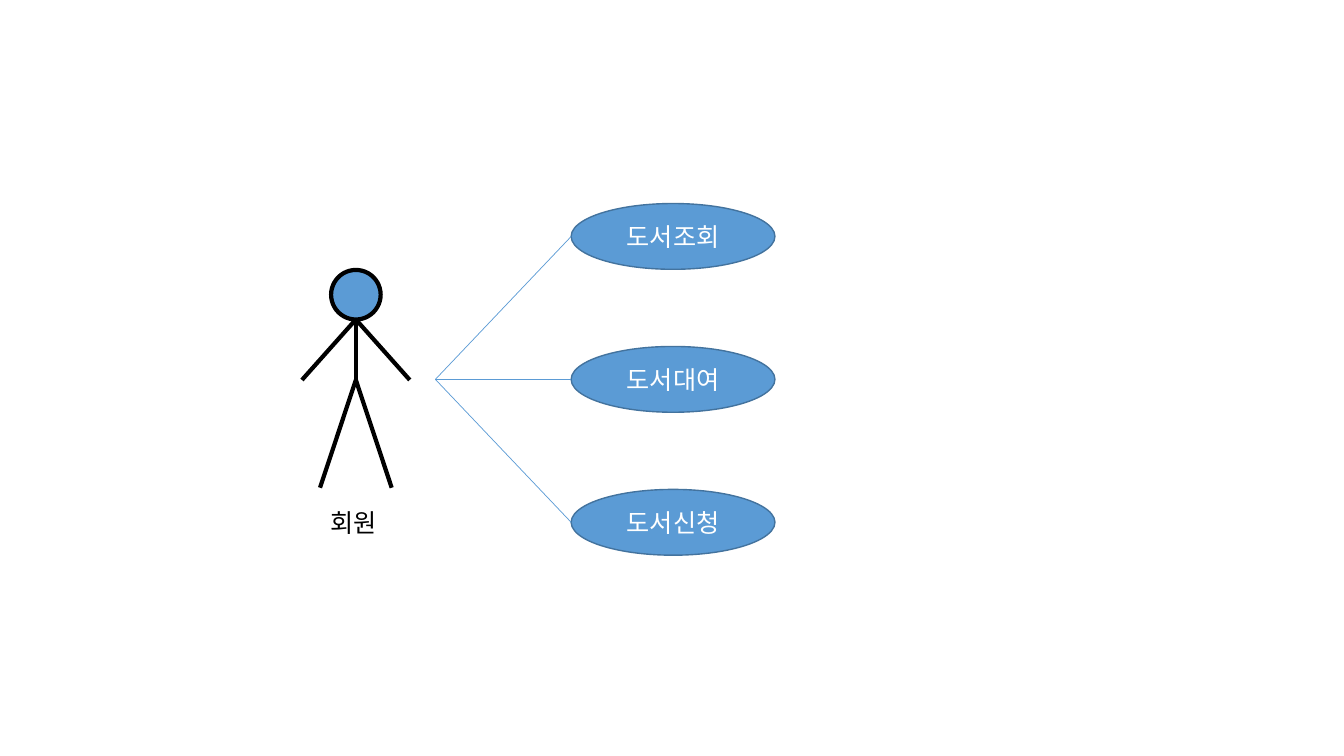
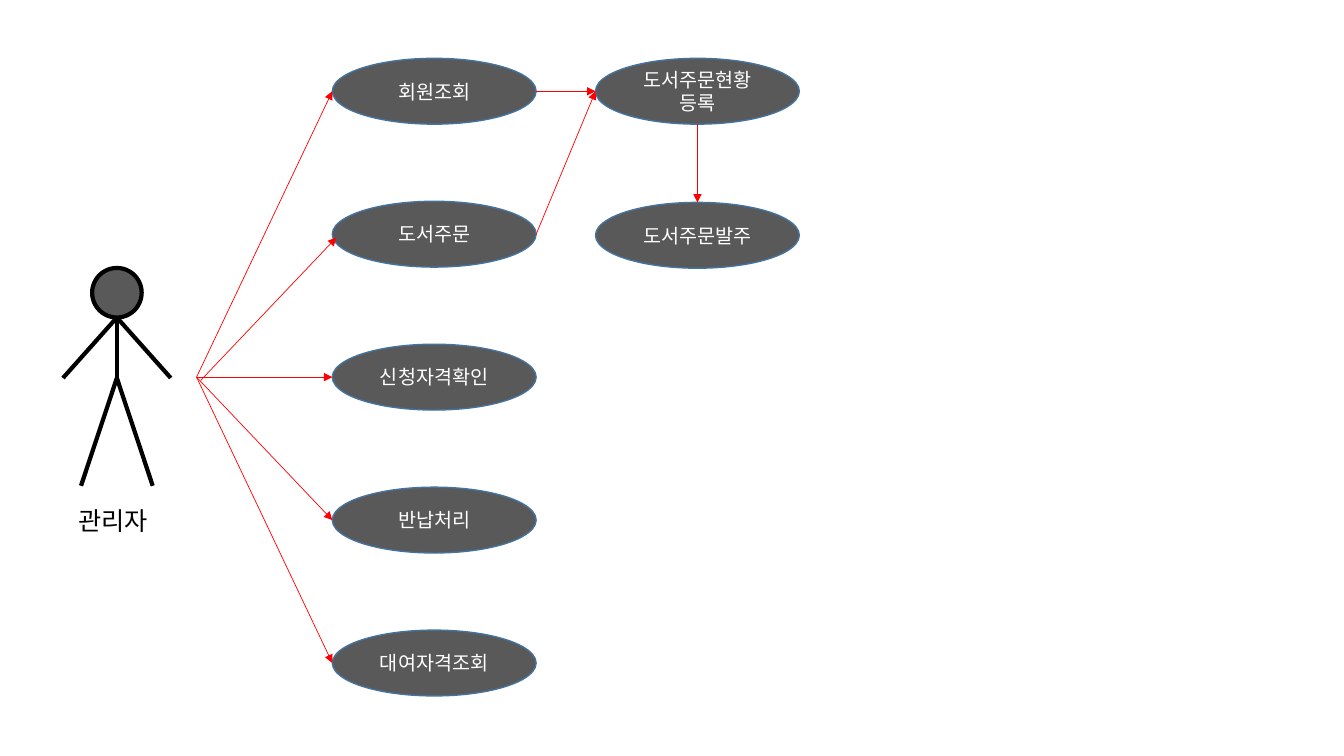
from lxml import etree
from pptx import Presentation
from pptx import util as u
from pptx.dml.color import RGBColor
from pptx.enum import shapes, text
from pptx.oxml.ns import qn

FONT = "Noto Sans CJK KR"
COLORS = {"blue": "5B9BD5", "edge": "43739E", "gray": "595959",
          "red": "FF0000", "black": "000000", "white": "FFFFFF"}
WIDE, HIGH, PITCH = 145.6, 47, 102.1
HEAD, ARM, LEG, BODY, FOOT = 35.4, 38.5, 25.6, 43.2, 120.2


def color(name):
    return RGBColor.from_string(COLORS[name])


class Diagram:
    def __init__(self, deck, fill, wire, size, arrow=False):
        self.shapes = deck.slides.add_slide(deck.slide_layouts[6]).shapes
        self.fill, self.wire, self.size, self.arrow = fill, wire, size, arrow

    def style(self, para, size, tint):
        font = para.font
        font.size = u.Pt(size)
        font.color.rgb = color(tint)
        font.name = FONT
        etree.SubElement(font._rPr, qn("a:ea"), typeface=FONT)

    def oval(self, home, x, y, wide, high, edge, width):
        shape = home.add_shape(shapes.MSO_SHAPE.OVAL, u.Pt(x), u.Pt(y), u.Pt(wide), u.Pt(high))
        shape.shadow.inherit = False
        shape.fill.solid()
        shape.fill.fore_color.rgb = color(self.fill)
        shape.line.color.rgb = color(edge)
        shape.line.width = u.Pt(width)
        return shape

    def line(self, home, start, end, tint, width):
        ends = [u.Pt(v) for v in (*start, *end)]
        line = home.add_connector(shapes.MSO_CONNECTOR.STRAIGHT, *ends)
        line.line.color.rgb = color(tint)
        line.line.width = u.Pt(width)
        etree.SubElement(line._element.spPr, qn("a:effectLst"))
        return line

    def case(self, x, y, words):
        shape = self.oval(self.shapes, x, y, WIDE, HIGH, "edge", 1)
        frame = shape.text_frame
        frame.word_wrap = True
        frame.vertical_anchor = text.MSO_ANCHOR.MIDDLE
        para = frame.paragraphs[0]
        para.text = words
        para.alignment = text.PP_ALIGN.CENTER
        self.style(para, self.size, "white")

    def link(self, start, end):
        line = self.line(self.shapes, start, end, self.wire, 0.5)
        if self.arrow:
            etree.SubElement(line.line._get_or_add_ln(), qn("a:headEnd"), type="triangle")

    def actor(self, x, neck, words, wide):
        home = self.shapes.add_group_shape().shapes
        self.oval(home, x - HEAD / 2, neck - HEAD, HEAD, HEAD, "black", 3)
        top, hip = (x, neck), (x, neck + BODY)
        self.line(home, top, hip, "black", 3)
        for side in (-1, 1):
            self.line(home, top, (x + side * ARM, neck + BODY), "black", 3)
            self.line(home, hip, (x + side * LEG, neck + FOOT), "black", 3)
        box = self.shapes.add_textbox(u.Pt(x - wide / 2), u.Pt(neck + 130.3), u.Pt(wide), u.Pt(29))
        frame = box.text_frame
        frame.word_wrap = False
        frame.auto_size = text.MSO_AUTO_SIZE.SHAPE_TO_FIT_TEXT
        para = frame.paragraphs[0]
        para.text = words
        self.style(para, 18, "black")

    def fan(self, x, y, names, hub, nudge=None):
        middle = y + (len(names) - 1) * PITCH / 2 + HIGH / 2
        for row, name in enumerate(names):
            top = y + row * PITCH
            self.case(x, top, name)
            dx, dy = (nudge or {}).get(row, (0, 0))
            self.link((x + dx, top + HIGH / 2 + dy), (hub + dx, middle + dy))


deck = Presentation()
deck.slide_width, deck.slide_height = u.Pt(960), u.Pt(540)

member = Diagram(deck, "blue", "blue", 18)
member.fan(408, 145.4, ["도서조회", "도서대여", "도서신청"], 311)
member.actor(254.2, 228.2, "회원", 51)

admin = Diagram(deck, "gray", "red", 14, arrow=True)
left, right, top = 237.4, 425.4, 41.7
admin.fan(left, top, ["회원조회", "도서주문", "신청자격확인", "반납처리", "대여자격조회"],
          140.4, {1: (2.9, 2.4)})
admin.actor(83.5, 226.8, "관리자", 69)
for row, name in enumerate(["도서주문현황등록", "도서주문발주"]):
    admin.case(right, top + row * (PITCH + 0.8), name)
    admin.link((right, top + HIGH / 2), (left + WIDE, top + row * PITCH + HIGH / 2))
center = right + WIDE / 2
admin.link((center, top + PITCH + 0.8), (center, top + HIGH))

deck.save("out.pptx")
